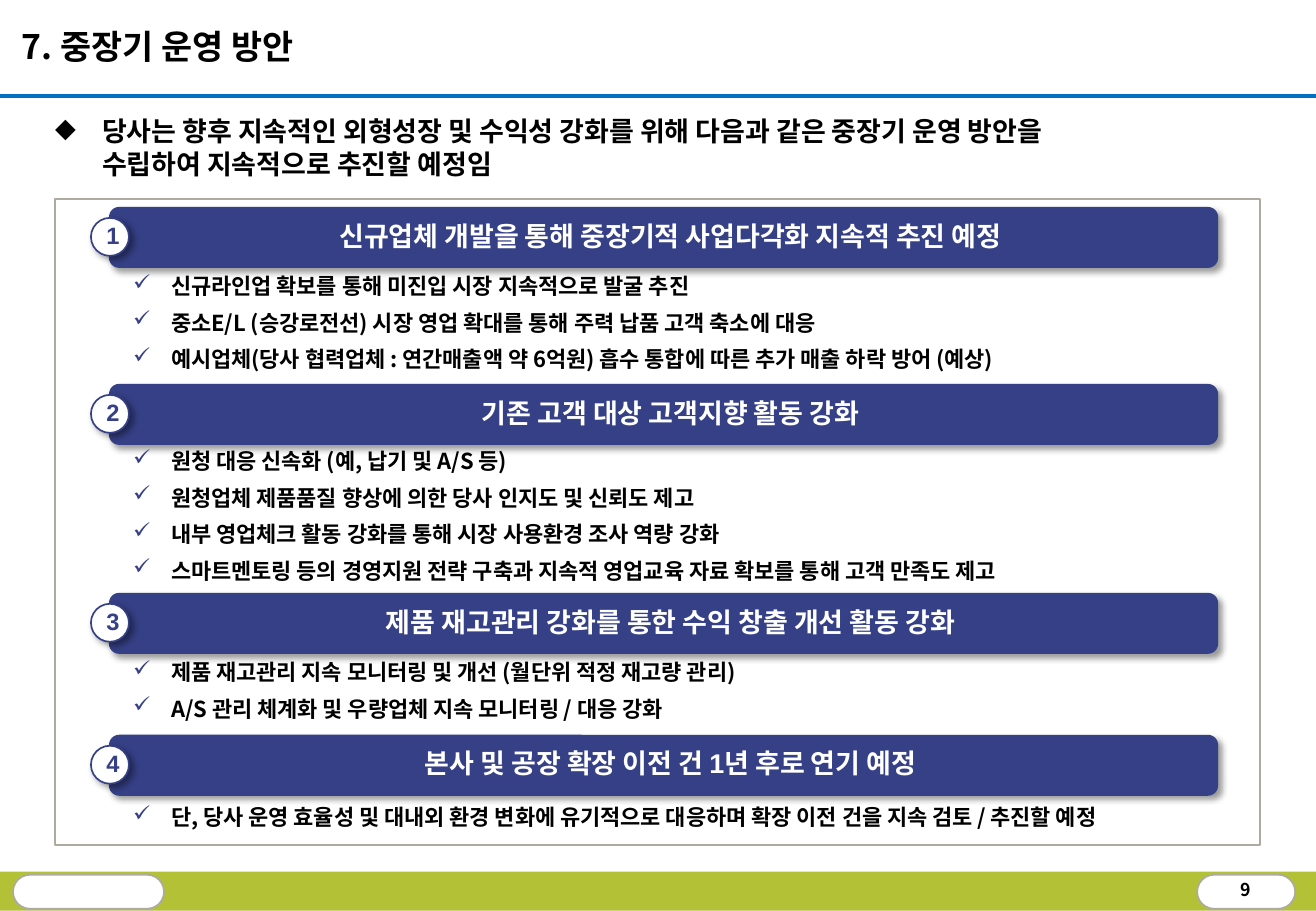
from lxml import etree
from pptx import Presentation, util as u
from pptx.dml.color import RGBColor
from pptx.enum import shapes, text
from pptx.oxml import parse_xml
from pptx.oxml.ns import nsdecls, qn

WHITE = RGBColor(0xFF, 0xFF, 0xFF)
BLACK = RGBColor(0, 0, 0)
NAVY = RGBColor(0x36, 0x40, 0x86)
BLUE = RGBColor(0x00, 0x70, 0xC0)
GREEN = RGBColor(0xB3, 0xC1, 0x37)
GREY = RGBColor(0xAD, 0xAB, 0xA1)
PX = 914400 / 121.5  # EMU per px
WIDTH = 1316

SHAPE = shapes.MSO_SHAPE
ALIGN = text.PP_ALIGN
ANCHOR = text.MSO_ANCHOR


def px(n):
    return u.Emu(round(n * PX))


class Deck:
    KOREAN = "Noto Sans CJK KR"
    LATIN = "Arial"

    def __init__(self, prs):
        self.s = prs.slides.add_slide(prs.slide_layouts[6])

    def run(self, p, words, size, color, font):
        r = p.add_run()
        r.text = words
        r.font.size, r.font.bold, r.font.name = u.Pt(size), True, font
        r.font.color.rgb = color
        ea = etree.SubElement(r._r.get_or_add_rPr(), qn("a:ea"))
        ea.set("typeface", self.KOREAN)

    def insets(self, tf, left, other):
        tf.margin_left = px(left)
        tf.margin_top = tf.margin_right = tf.margin_bottom = px(other)

    def shape(self, kind, box, fill, line=None, radius=None):
        sp = self.s.shapes.add_shape(kind, *map(px, box))
        sp.shadow.inherit = False
        sp.fill.solid()
        sp.fill.fore_color.rgb = fill
        if line is None:
            sp.line.fill.background()
        else:
            sp.line.color.rgb = line
            sp.line.width = u.Pt(1)
        if radius is not None:
            sp.adjustments[0] = radius
        return sp

    def label(self, kind, box, words, size, fill, color, line=None, left=10):
        """Shadowed shape with one centred line of text."""
        sp = self.shape(kind, box, fill, line)
        effects = sp._element.spPr.find(qn("a:effectLst"))
        effects.append(parse_xml(
            f'<a:outerShdw {nsdecls("a")} blurRad="50800" dist="38100" dir="2700000" '
            'algn="tl" rotWithShape="0"><a:srgbClr val="000000">'
            '<a:alpha val="40000"/></a:srgbClr></a:outerShdw>'))
        tf = sp.text_frame
        tf.word_wrap = True
        tf.vertical_anchor = ANCHOR.MIDDLE
        self.insets(tf, left, 10)
        p = tf.paragraphs[0]
        p.alignment, p.line_spacing = ALIGN.CENTER, 0.9
        self.run(p, words, size, color, self.LATIN)

    def textbox(self, box, wrap=False, grow=True):
        tf = self.s.shapes.add_textbox(*map(px, box)).text_frame
        self.insets(tf, 0, 0)
        tf.word_wrap = wrap
        if grow:
            tf.auto_size = text.MSO_AUTO_SIZE.SHAPE_TO_FIT_TEXT
        return tf

    def paragraph(self, tf, lines, size, bullet=None, level=0, left=0, hang=0, color=BLACK):
        p = tf.paragraphs[0]
        if p.runs:
            p = tf.add_paragraph()
        p.level, p.space_before = level, u.Pt(6)
        if bullet:
            pPr = p._p.get_or_add_pPr()
            pPr.set("marL", str(px(left)))
            pPr.set("indent", str(-px(hang)))
            clr = etree.SubElement(pPr, qn("a:buClr"))
            etree.SubElement(clr, qn("a:srgbClr")).set("val", str(color))
            etree.SubElement(pPr, qn("a:buChar")).set("char", bullet)
        for i, words in enumerate(lines):
            if i:
                p.add_line_break()
            self.run(p, words, size, BLACK, self.KOREAN)

    def rule(self, y, color, width):
        c = self.s.shapes.add_connector(
            shapes.MSO_CONNECTOR.STRAIGHT, 0, px(y), px(WIDTH), px(y))
        c.line.color.rgb = color
        c.line.width = u.Pt(width)
        etree.SubElement(c._element.spPr, qn("a:effectLst"))


# heading top, list top, heading, list items
SECTIONS = [
    (207, 273, "신규업체 개발을 통해 중장기적 사업다각화 지속적 추진 예정", [
        "신규라인업 확보를 통해 미진입 시장 지속적으로 발굴 추진",
        "중소E/L (승강로전선) 시장 영업 확대를 통해 주력 납품 고객 축소에 대응",
        "예시업체(당사 협력업체 : 연간매출액 약 6억원) 흡수 통합에 따른 추가 매출 하락 방어 (예상)"]),
    (384, 448, "기존 고객 대상 고객지향 활동 강화", [
        "원청 대응 신속화 (예, 납기 및 A/S 등)",
        "원청업체 제품품질 향상에 의한 당사 인지도 및 신뢰도 제고",
        "내부 영업체크 활동 강화를 통해 시장 사용환경 조사 역량 강화",
        "스마트멘토링 등의 경영지원 전략 구축과 지속적 영업교육 자료 확보를 통해 고객 만족도 제고"]),
    (593, 659, "제품 재고관리 강화를 통한 수익 창출 개선 활동 강화", [
        "제품 재고관리 지속 모니터링 및 개선 (월단위 적정 재고량 관리)",
        "A/S 관리 체계화 및 우량업체 지속 모니터링 / 대응 강화"]),
    (735, 804, "본사 및 공장 확장 이전 건 1년 후로 연기 예정", [
        "단, 당사 운영 효율성 및 대내외 환경 변화에 유기적으로 대응하며 확장 이전 건을 지속 검토 / 추진할 예정"]),
]


def main():
    prs = Presentation()
    prs.slide_width, prs.slide_height = u.Inches(10.83), u.Inches(7.5)
    d = Deck(prs)

    # Footer with page number
    d.shape(SHAPE.RECTANGLE, (0, 872, WIDTH, 39), GREEN)
    for x, w in ((13, 151), (1197, 98)):
        d.shape(SHAPE.ROUNDED_RECTANGLE, (x, 875, w, 34), WHITE, GREY, 0.5)
    tf = d.textbox((1227, 882, 38, 18), grow=False)
    tf.vertical_anchor = ANCHOR.BOTTOM
    p = tf.paragraphs[0]
    p.alignment = ALIGN.CENTER
    d.run(p, "9", 10.5, BLACK, d.KOREAN)

    # Title, rule and lead sentence
    d.rule(96, BLUE, 2.25)
    d.paragraph(d.textbox((22, 26, 303, 41)), ["7. 중장기 운영 방안"], 20)
    d.paragraph(d.textbox((55, 115, 1126, 66)), [
        "당사는 향후 지속적인 외형성장 및 수익성 강화를 위해 다음과 같은 중장기 운영 방안을 ",
        "수립하여 지속적으로 추진할 예정임"], 16, "◆", left=47, hang=47)

    # Framed sections: heading bar, numbered badge, checklist
    d.shape(SHAPE.RECTANGLE, (55, 199, 1205, 646), WHITE, GREY)
    for n, (top, list_top, heading, items) in enumerate(SECTIONS, 1):
        d.label(SHAPE.ROUNDED_RECTANGLE, (109, top, 1109, 61), heading, 16,
                NAVY, WHITE, left=24)
        d.label(SHAPE.OVAL, (91, top + 11, 38, 38), str(n), 14, WHITE, NAVY, NAVY)
        tf = d.textbox((73, list_top, 1170, 37 * len(items) - 10), wrap=True)
        for item in items:
            d.paragraph(tf, [item], 13, "✓", 1, 98, 38, NAVY)

    prs.save("out.pptx")


if __name__ == "__main__":
    main()
